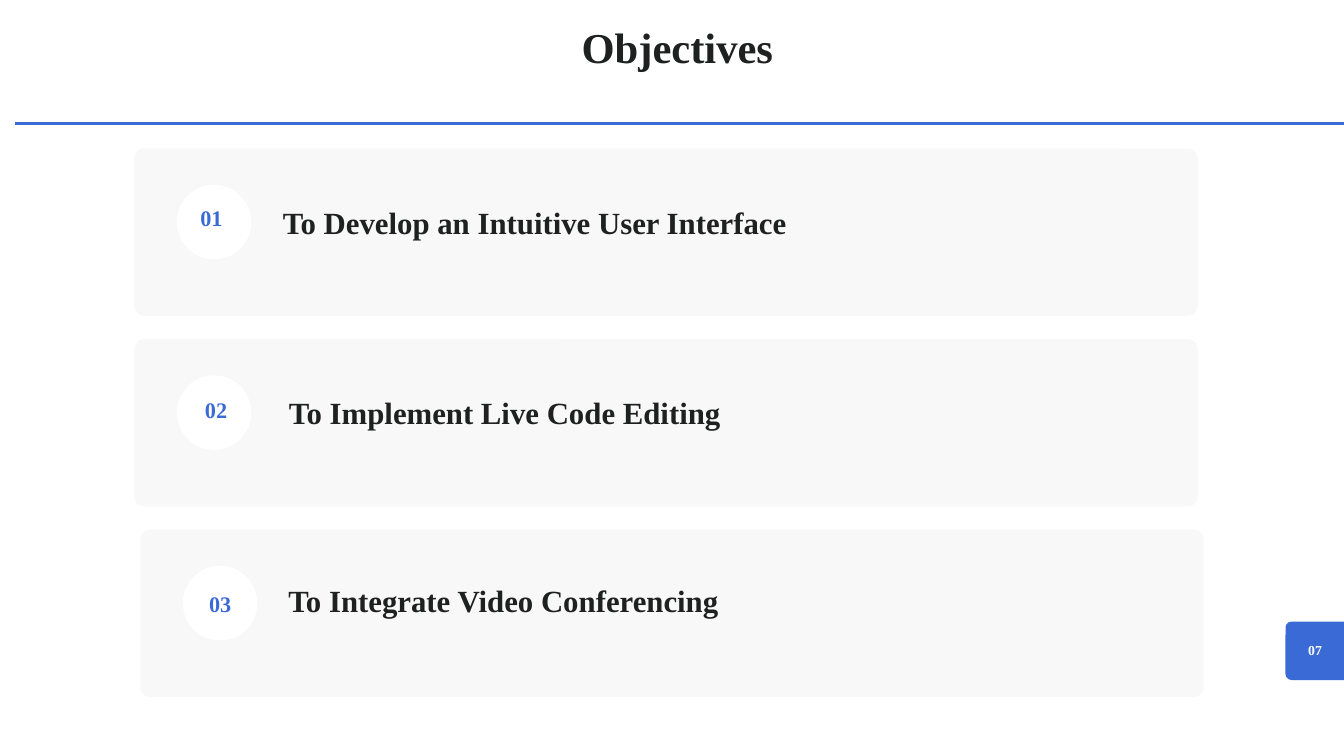
from dataclasses import dataclass

from lxml.etree import SubElement
from pptx import Presentation
from pptx.dml.color import RGBColor
from pptx.enum.shapes import MSO_CONNECTOR, MSO_SHAPE
from pptx.enum.text import MSO_ANCHOR, MSO_AUTO_SIZE, PP_ALIGN
from pptx.oxml.ns import qn
from pptx.util import Inches, Pt

# Content: number, objective, then (x, y) inside the card for each of the two
TITLE = "Objectives"
PAGE = "07"
OBJECTIVES = [
    ("01", "To Develop an Intuitive User Interface", (0.74, 0.76), (2.21, 0.73)),
    ("02", "To Implement Live Code Editing", (0.81, 0.78), (2.3, 0.72)),
    ("03", "To Integrate Video Conferencing", (0.78, 0.84), (2.2, 0.68)),
]
CARD_LEFTS = [2, 2, 2.09]


@dataclass(frozen=True)
class Theme:
    font: str = "Times New Roman"
    ink: str = "1F2020"
    accent: str = "3A6AD6"
    card: str = "F8F8F8"
    white: str = "FFFFFF"
    # Type styles: size and line spacing in points
    title: tuple = (45.6, 63.9)
    heading: tuple = (33, 46.2)
    number: tuple = (23.8, 33.4)
    page: tuple = (14.7, 20.6)


THEME = Theme()

# Grid: 20 columns by 11.25 rows of square cells
COLS, ROWS = 20, 11.25
CELL = Inches(1)
CARD_TOP, CARD_PITCH = 2.21, 2.835
CARD_SIZE = (15.82, 2.49)
DISC_OFFSET, DISC_SIZE = (0.63, 0.54), 1.11


def grid(*cells):
    return [round(n * CELL) for n in cells]


def write(s, text, style, color, align=PP_ALIGN.LEFT):
    size, leading = style
    tf = s.text_frame
    tf.margin_left = tf.margin_right = tf.margin_top = tf.margin_bottom = 0
    tf.word_wrap = True
    tf.auto_size = MSO_AUTO_SIZE.NONE
    tf.vertical_anchor = MSO_ANCHOR.TOP
    p = tf.paragraphs[0]
    p.alignment = align
    p.line_spacing = Pt(leading)
    p.space_before = Pt(0)
    r = p.add_run()
    r.text = text
    r.font.name = THEME.font
    r.font.size = Pt(size)
    r.font.bold = True
    r.font.color.rgb = RGBColor.from_string(color)


def add_text(slide, box, *args):
    write(slide.shapes.add_textbox(*grid(*box)), *args)


def add_shape(slide, kind, box, color, radius=None):
    s = slide.shapes.add_shape(kind, *grid(*box))
    s.shadow.inherit = False
    s.fill.solid()
    s.fill.fore_color.rgb = RGBColor.from_string(color)
    s.line.fill.background()
    if radius is not None:
        s.adjustments[0] = radius / min(box[2:])


def add_rule(slide, x1, x2, y):
    s = slide.shapes.add_connector(MSO_CONNECTOR.STRAIGHT, *grid(x1, y, x2, y))
    s.line.color.rgb = RGBColor.from_string(THEME.accent)
    s.line.width = Pt(3)
    SubElement(s._element.spPr, qn("a:effectLst"))


def add_card(slide, x, y, number, heading, number_at, heading_at):
    add_shape(slide, MSO_SHAPE.ROUNDED_RECTANGLE, (x, y, *CARD_SIZE), THEME.card, 0.14)
    dx, dy = DISC_OFFSET
    add_shape(slide, MSO_SHAPE.OVAL, (x + dx, y + dy, DISC_SIZE, DISC_SIZE), THEME.white)
    dx, dy = heading_at
    add_text(slide, (x + dx, y + dy, 9.53, 0.69), heading, THEME.heading, THEME.ink)
    dx, dy = number_at
    add_text(slide, (x + dx, y + dy, 0.81, 0.51), number, THEME.number,
             THEME.accent, PP_ALIGN.CENTER)


def main():
    prs = Presentation()
    prs.slide_width, prs.slide_height = grid(COLS, ROWS)
    slide = prs.slides.add_slide(prs.slide_layouts[5])

    # Title and rule
    title = slide.shapes.title
    title.left, title.top, title.width, title.height = grid(7.92, 0.19, 4.32, 0.94)
    write(title, TITLE, THEME.title, THEME.ink, PP_ALIGN.CENTER)
    add_rule(slide, 0.22, 20.33, 1.84)

    # Objective cards
    for i, (x, objective) in enumerate(zip(CARD_LEFTS, OBJECTIVES)):
        add_card(slide, x, CARD_TOP + i * CARD_PITCH, *objective)

    # Page number tab
    add_shape(slide, MSO_SHAPE.ROUNDED_RECTANGLE, (19.13, 9.25, 1.04, 0.87),
              THEME.accent, 0.09)
    add_text(slide, (19.33, 9.51, 0.48, 0.3), PAGE, THEME.page,
             THEME.white, PP_ALIGN.CENTER)

    prs.save("out.pptx")


if __name__ == "__main__":
    main()
